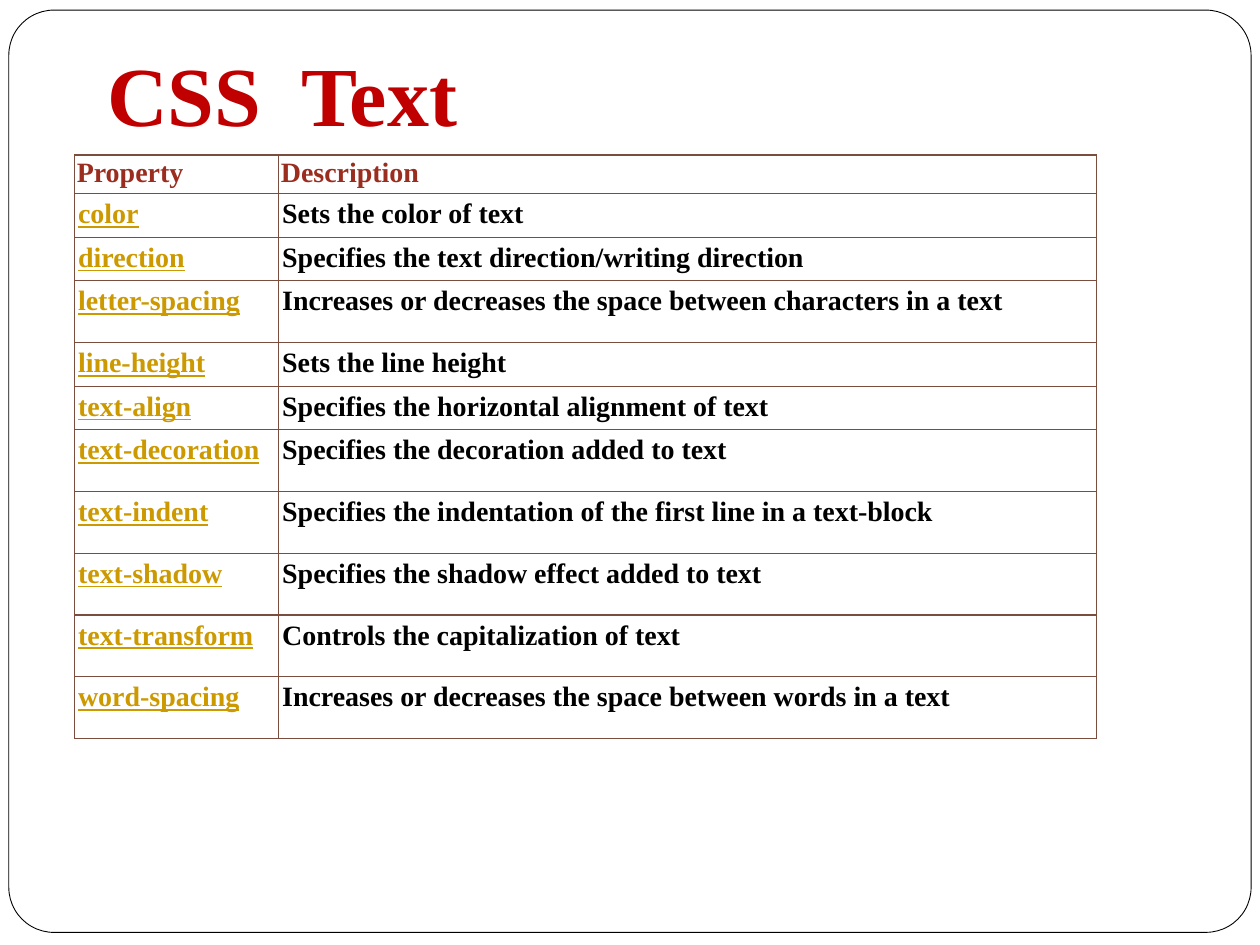
from dataclasses import dataclass

from lxml import etree
from pptx import Presentation
from pptx.dml.color import RGBColor
from pptx.enum.shapes import MSO_SHAPE
from pptx.enum.text import MSO_ANCHOR, MSO_AUTO_SIZE, PP_ALIGN
from pptx.oxml.ns import qn
from pptx.util import Inches, Pt

ROUNDED = MSO_SHAPE.ROUNDED_RECTANGLE
TOP = MSO_ANCHOR.TOP
LEFT = PP_ALIGN.LEFT
GROW = MSO_AUTO_SIZE.SHAPE_TO_FIT_TEXT
TITLE_ONLY = 5


@dataclass
class Theme:
    font: str = "Times New Roman"
    title_size: float = 48
    table_size: float = 16
    border_width: float = 0.75
    paper: str = "FFFFFF"
    ink: str = "000000"
    title: str = "C00000"
    header: str = "9B2D1F"
    prop: str = "CC9900"
    border: str = "7A4D3E"


theme = Theme()


def style(paragraph, size, color, underline=False):
    paragraph.alignment = LEFT
    font = paragraph.font
    font.name = theme.font
    font.size = Pt(size)
    font.bold = True
    font.underline = underline
    font.color.rgb = RGBColor.from_string(color)


def add_borders(cell):
    properties = cell._tc.get_or_add_tcPr()
    for side in ("a:lnL", "a:lnR", "a:lnT", "a:lnB"):
        line = etree.SubElement(properties, qn(side), w=str(Pt(theme.border_width)))
        fill = etree.SubElement(line, qn("a:solidFill"))
        etree.SubElement(fill, qn("a:srgbClr"), val=theme.border)


deck = Presentation()
deck.slide_width = Inches(10)
deck.slide_height = Inches(7.5)
page = deck.slides.add_slide(deck.slide_layouts[TITLE_ONLY])

# Rounded frame, placed behind the title
frame = page.shapes.add_shape(ROUNDED, Inches(0.07), Inches(0.08), Inches(9.86), Inches(7.32))
frame.adjustments[0] = 0.049
frame.shadow.inherit = False
frame.fill.solid()
frame.fill.fore_color.rgb = RGBColor.from_string(theme.paper)
frame.line.color.rgb = RGBColor.from_string(theme.ink)
frame.line.width = Pt(0.5)
title = page.shapes.title
title.element.addprevious(frame.element)

# Title
title.left, title.top = Inches(0.75), Inches(0.29)
title.width, title.height = Inches(4.65), Inches(0.91)
title_text = title.text_frame
title_text.text = "CSS  Text"
title_text.word_wrap = True
title_text.auto_size = GROW
title_text.vertical_anchor = TOP
style(title_text.paragraphs[0], theme.title_size, theme.title)

# Property table: each row is property, description, height
HEADER, SHORT, TALL = 0.24, 0.29, 0.49
rows = [
    ("Property", "Description", HEADER),
    ("color", "Sets the color of text", SHORT),
    ("direction", "Specifies the text direction/writing direction", SHORT),
    ("letter-spacing", "Increases or decreases the space between characters in a text", TALL),
    ("line-height", "Sets the line height", SHORT),
    ("text-align", "Specifies the horizontal alignment of text", SHORT),
    ("text-decoration", "Specifies the decoration added to text", TALL),
    ("text-indent", "Specifies the indentation of the first line in a text-block", TALL),
    ("text-shadow", "Specifies the shadow effect added to text", TALL),
    ("text-transform", "Controls the capitalization of text", TALL),
    ("word-spacing", "Increases or decreases the space between words in a text", TALL),
]
table = page.shapes.add_table(
    len(rows), 2, Inches(0.59), Inches(1.23), Inches(8.11),
    Inches(sum(height for *_, height in rows)),
).table
table.horz_banding = False
for column, width in zip(table.columns, (1.62, 6.49)):
    column.width = Inches(width)

for row_index, (*texts, height) in enumerate(rows):
    table.rows[row_index].height = Inches(height)
    is_header = row_index == 0
    side_margin, end_margin = (0.02, 0.02) if is_header else (0.03, 0.04)
    colors = (theme.header, theme.header) if is_header else (theme.prop, theme.ink)
    for column_index, text in enumerate(texts):
        cell = table.cell(row_index, column_index)
        cell.text = text
        cell.margin_left = cell.margin_right = Inches(side_margin)
        cell.margin_top = cell.margin_bottom = Inches(end_margin)
        cell.vertical_anchor = TOP
        add_borders(cell)
        cell.fill.background()
        underline = column_index == 0 and not is_header
        style(cell.text_frame.paragraphs[0], theme.table_size, colors[column_index], underline)

deck.save("out.pptx")
